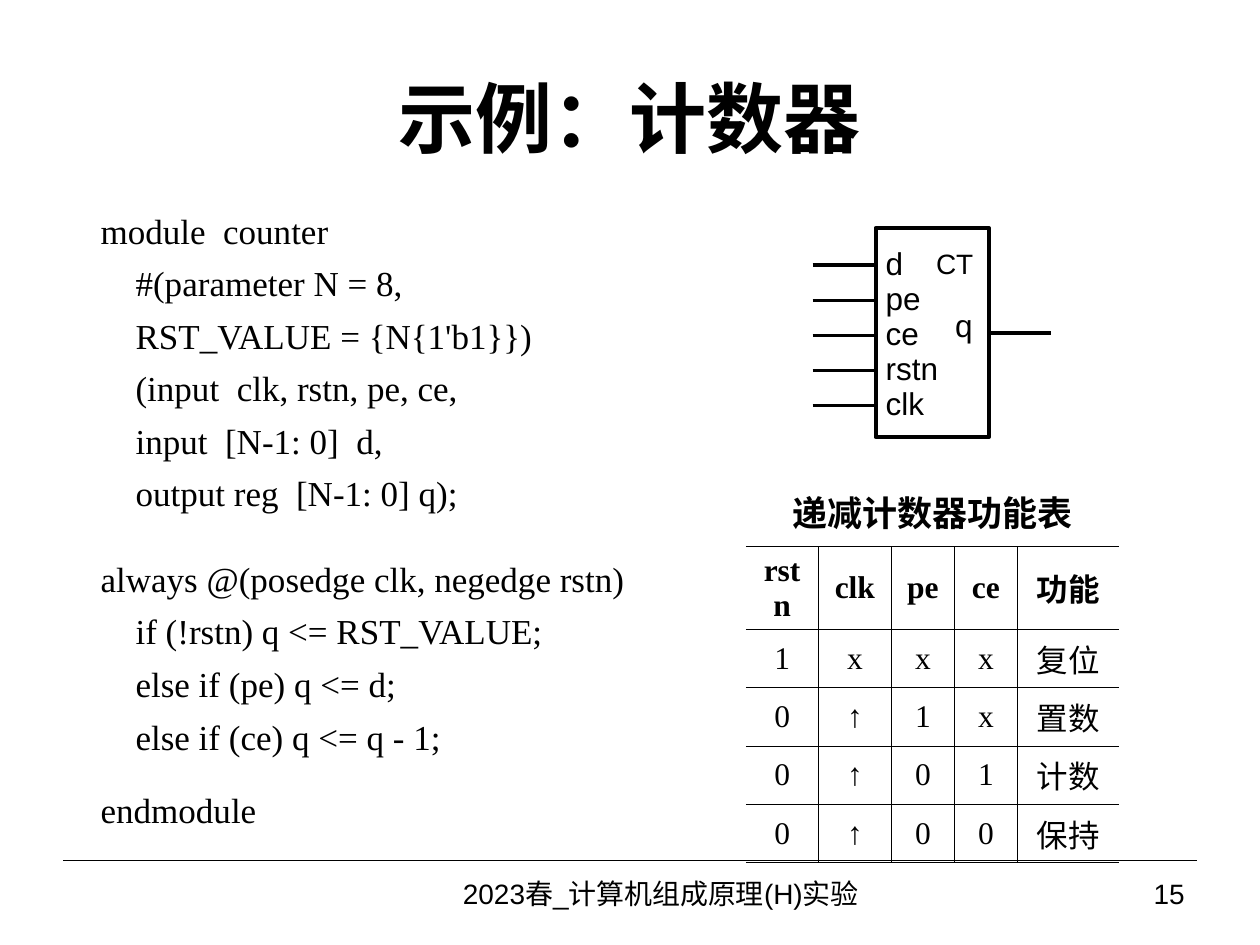
from dataclasses import dataclass

from lxml import etree
from pptx import Presentation
from pptx.dml.color import RGBColor
from pptx.enum.shapes import MSO_CONNECTOR, MSO_SHAPE
from pptx.enum.text import MSO_ANCHOR, PP_ALIGN
from pptx.oxml.ns import qn
from pptx.util import Inches, Pt

LEFT, CENTER, RIGHT = PP_ALIGN.LEFT, PP_ALIGN.CENTER, PP_ALIGN.RIGHT
TOP, MIDDLE = MSO_ANCHOR.TOP, MSO_ANCHOR.MIDDLE
STRAIGHT, RECTANGLE = MSO_CONNECTOR.STRAIGHT, MSO_SHAPE.RECTANGLE


@dataclass(frozen=True)
class Theme:
    ink: RGBColor = RGBColor(0, 0, 0)
    sans: str = "Arial"
    serif: str = "Times New Roman"
    cjk: str = "Noto Sans CJK SC"
    title: int = 44
    body: int = 20
    label: int = 18
    small: int = 16
    thick: float = 2.25
    medium: float = 1.5
    thin: float = 0.75
    hair: float = 0.45


THEME = Theme()
CELL = Inches(0.1)  # the slide is a grid of 100 columns and 75 rows


def write(frame, lines, size, font, align=LEFT, anchor=MIDDLE, bold=False):
    """Fill a text frame with one paragraph per line and format its runs."""
    frame.text = "\n".join(lines)
    frame.vertical_anchor = anchor
    for paragraph in frame.paragraphs:
        paragraph.alignment = align
        for run in paragraph.runs:
            run.font.name = font
            run.font.size = Pt(size)
            run.font.bold = bold
            run.font.color.rgb = THEME.ink
            east_asian = etree.SubElement(run.font._element, qn("a:ea"))
            east_asian.set("typeface", THEME.cjk)


def draw_line(x1, y1, x2, y2, width):
    line = slide.shapes.add_connector(
        STRAIGHT, *(round(n * CELL) for n in (x1, y1, x2, y2)))
    line.line.color.rgb = THEME.ink
    line.line.width = Pt(width)
    etree.SubElement(line._element.spPr, qn("a:effectLst"))
    return line


prs = Presentation()
prs.slide_width, prs.slide_height = 100 * CELL, 75 * CELL
slide = prs.slides.add_slide(prs.slide_layouts[5])

# Title and footer rule
title = slide.shapes.title
title.left, title.top = 5 * CELL, 3 * CELL
title.width, title.height = 90 * CELL, round(12.5 * CELL)
write(title.text_frame, ["示例：计数器"], THEME.title, THEME.sans, CENTER, bold=True)
draw_line(5, 68.3, 95, 68.3, THEME.thin)

# Function table
function_rows = [
    ["rstn", "clk", "pe", "ce", "功能"],
    ["1", "x", "x", "x", "复位"],
    ["0", "↑", "1", "x", "置数"],
    ["0", "↑", "0", "1", "计数"],
    ["0", "↑", "0", "0", "保持"],
]
column_widths = [5.75, 5.8, 5, 5, 8.05]
row_heights = [6.5] + [4.63] * 4
last_row, last_column = len(row_heights) - 1, len(column_widths) - 1
table = slide.shapes.add_table(
    len(row_heights), len(column_widths), round(59.2 * CELL), round(43.4 * CELL),
    round(sum(column_widths) * CELL), round(sum(row_heights) * CELL)).table
table.first_row = table.horz_banding = False
for column, width in zip(table.columns, column_widths):
    column.width = round(width * CELL)
for row, height in zip(table.rows, row_heights):
    row.height = round(height * CELL)
for r, texts in enumerate(function_rows):
    for c, text in enumerate(texts):
        cell = table.cell(r, c)
        write(cell.text_frame, [text], THEME.label, THEME.serif, CENTER, bold=r == 0)
        cell.vertical_anchor = MIDDLE
        borders = {
            "L": 0 if c == 0 else THEME.thin if c == last_column else THEME.hair,
            "R": 0 if c == last_column else THEME.thin if c == last_column - 1 else THEME.hair,
            "T": THEME.thin if r <= 1 else THEME.hair,
            "B": THEME.thin if r in (0, last_row) else THEME.hair,
        }
        properties = cell._tc.get_or_add_tcPr()
        for side, width in borders.items():
            border = etree.SubElement(properties, qn(f"a:ln{side}"), w=str(Pt(width)))
            if width:
                fill = etree.SubElement(border, qn("a:solidFill"))
                etree.SubElement(fill, qn("a:srgbClr"), val=str(THEME.ink))
            else:
                etree.SubElement(border, qn("a:noFill"))
        cell.fill.background()

# Counter symbol: box, output wire and input wires
counter = slide.shapes.add_shape(
    RECTANGLE, *(round(n * CELL) for n in (69.5, 18.1, 9, 16.6)))
counter.shadow.inherit = False
counter.fill.background()
counter.line.color.rgb = THEME.ink
counter.line.width = Pt(THEME.thick)
output_wire = draw_line(78.5, 26.4, 83.4, 26.4, THEME.thick)
output_wire.begin_connect(counter, 3)

labels = [("q", 75.8, 23.7, THEME.label), ("CT", 74.3, 18.8, THEME.small)]
for i, pin in enumerate(["d", "pe", "ce", "rstn", "clk"]):
    wire_y = 21.05 + 2.78 * i
    draw_line(64.5, wire_y, 69.5, wire_y, THEME.medium if i else THEME.thick)
    labels.append((pin, 70.3, wire_y - 2.3, THEME.label))
for text, x, y, size in labels:
    label = slide.shapes.add_textbox(
        *(round(n * CELL) for n in (x, y, 5, 4.2))).text_frame
    label.margin_left = label.margin_right = label.margin_top = label.margin_bottom = 0
    label.word_wrap = True
    write(label, [text], size, THEME.sans)

# Table caption, code, footer and page number
code_lines = [
    "module  counter",
    "#(parameter N = 8,",
    "RST_VALUE = {N{1'b1}})",
    "(input  clk, rstn, pe, ce,",
    "input  [N-1: 0]  d,",
    "output reg  [N-1: 0] q);",
    "always @(posedge clk, negedge rstn)",
    "if (!rstn) q <= RST_VALUE;",
    "else if (pe) q <= d;",
    "else if (ce) q <= q - 1;",
    "endmodule",
]
text_blocks = [
    (["递减计数器功能表"], (59.2, 38.5, 29.6, 4.4), THEME.body, THEME.serif, CENTER, TOP, True),
    (code_lines, (7, 16.1, 45, 50.4), THEME.body, THEME.serif, LEFT, TOP, False),
    (["2023春_计算机组成原理(H)实验"], (28.3, 68.3, 48.3, 5.2), THEME.small, THEME.sans,
     CENTER, MIDDLE, False),
    (["15"], (76.7, 68.3, 18.3, 5.2), THEME.small, THEME.sans, RIGHT, MIDDLE, False),
]
space_before = {"always": 19, "endmodule": 12}
for lines, place, *style in text_blocks:
    block = slide.shapes.add_textbox(*(round(n * CELL) for n in place)).text_frame
    block.word_wrap = True
    write(block, lines, *style)
    if lines is code_lines:
        for paragraph in block.paragraphs:
            keyword = paragraph.text.split()[0]
            paragraph.space_after = Pt(6)
            paragraph.space_before = Pt(space_before.get(keyword, 0))
            if keyword not in ("module", "always", "endmodule"):
                paragraph._p.get_or_add_pPr().set("marL", str(Pt(20)))

prs.save("out.pptx")
